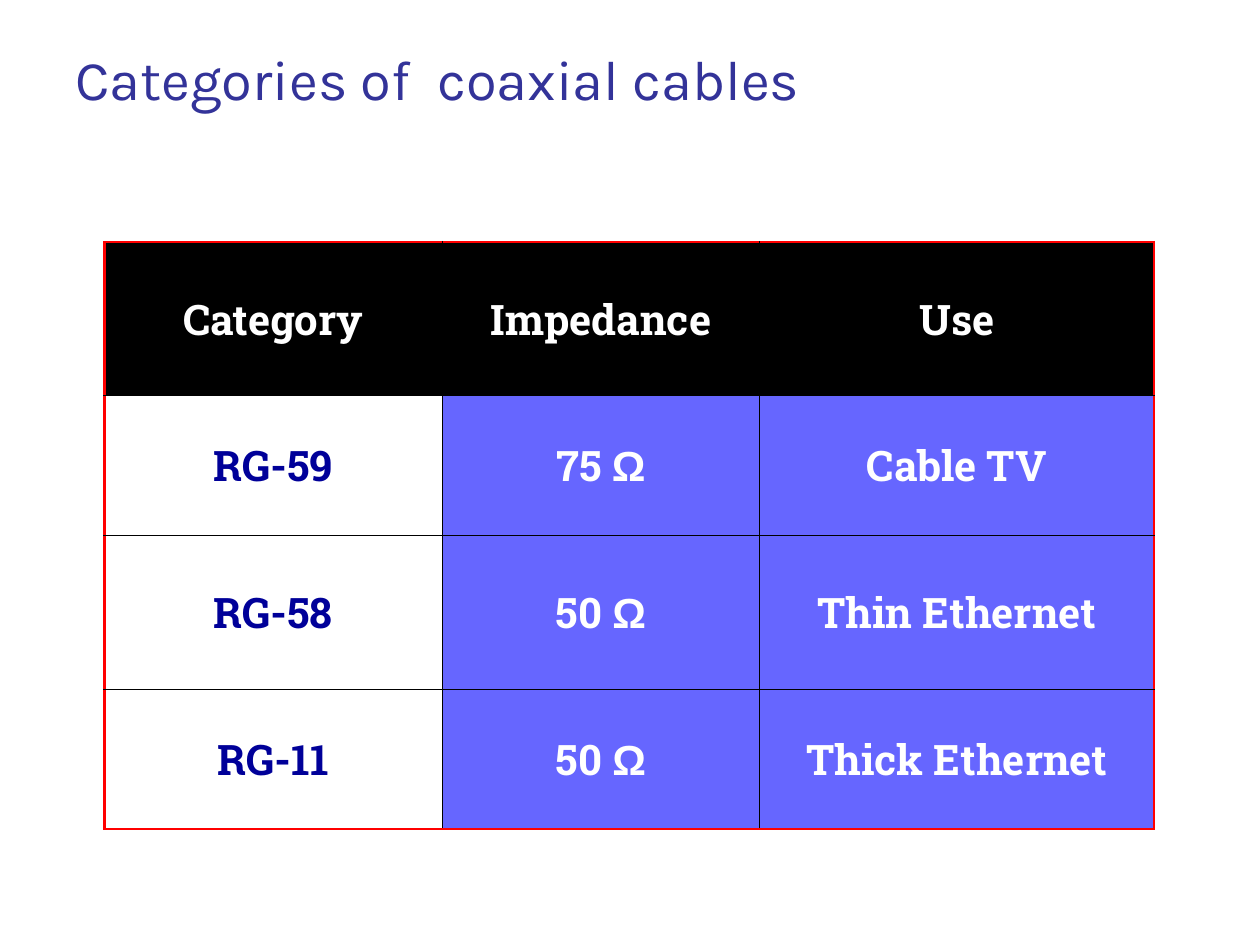
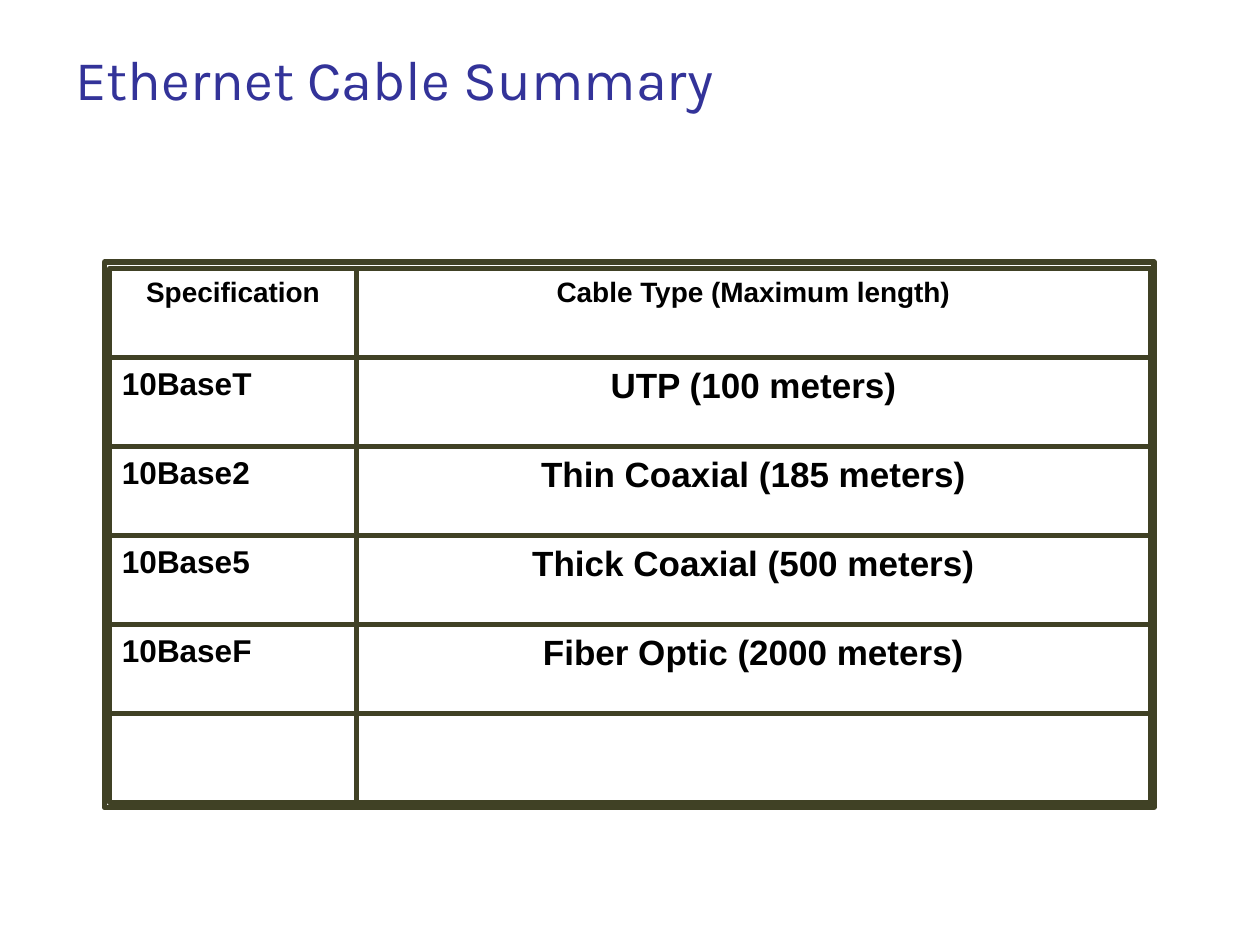
import pptx
import pptx.util
import pptx.dml.color
import pptx.enum.shapes
import pptx.enum.text
import pptx.oxml
import pptx.oxml.ns
import lxml.etree

Inches = pptx.util.Inches
Pt = pptx.util.Pt
ALIGN = pptx.enum.text.PP_ALIGN
ANCHOR = pptx.enum.text.MSO_ANCHOR

COLOURS = {
    "title": "333399",
    "black": "000000",
    "white": "FFFFFF",
    "category": "000099",
    "cell": "6666FF",
    "edge": "FF0000",
    "grid": "404125",
}

COAXIAL_TITLE = "Categories of  coaxial cables"
COAXIAL_ROWS = [
    ("Category", "Impedance", "Use"),
    ("RG-59", "75 Ω", "Cable TV"),
    ("RG-58", "50 Ω", "Thin Ethernet"),
    ("RG-11", "50 Ω", "Thick Ethernet"),
]
COAXIAL_WIDTHS = (2.68, 2.52, 3.13)
COAXIAL_HEIGHTS = (1.22, 1.11, 1.22, 1.11)

SUMMARY_TITLE = "Ethernet Cable Summary"
SUMMARY_ROWS = [
    ("Specification", "Cable Type (Maximum length)"),
    ("10BaseT", "UTP (100 meters)"),
    ("10Base2", "Thin Coaxial (185 meters)"),
    ("10Base5", "Thick Coaxial (500 meters)"),
    ("10BaseF", "Fiber Optic (2000 meters)"),
    ("", ""),
]
SUMMARY_COLUMNS = [(0.87, 1.96), (2.83, 6.3)]
SUMMARY_TOP = 2.13
SUMMARY_ROW_HEIGHT = 0.707


def colour(name):
    return pptx.dml.color.RGBColor.from_string(COLOURS[name])


def style_run(run, size, font_name, colour_name, bold=False):
    run.font.size = Pt(size)
    run.font.name = font_name
    run.font.color.rgb = colour(colour_name)
    run.font.bold = bold


def add_titled_slide(presentation, title):
    slide = presentation.slides.add_slide(presentation.slide_layouts[6])
    text_box = slide.shapes.add_textbox(Inches(0.5), Inches(0.3), Inches(9), Inches(1.25))
    text_frame = text_box.text_frame
    text_frame.word_wrap = True
    text_frame.text = title
    style_run(text_frame.paragraphs[0].runs[0], 32, "Karla", "title")
    return slide


def set_borders(cell, outer_sides):
    properties = cell._tc.get_or_add_tcPr()
    for index, side in enumerate("LRTB"):
        name, width = ("edge", 1.47) if side in outer_sides else ("black", 0.45)
        line = pptx.oxml.parse_xml(
            f'<a:ln{side} {pptx.oxml.ns.nsdecls("a")} w="{Pt(width)}"><a:solidFill>'
            f'<a:srgbClr val="{COLOURS[name]}"/></a:solidFill></a:ln{side}>'
        )
        properties.insert(index, line)


def fill_coaxial_cell(cell, text, is_header, is_category):
    if is_header:
        fill_name, text_name = "black", "white"
    elif is_category:
        fill_name, text_name = "white", "category"
    else:
        fill_name, text_name = "cell", "white"
    cell.fill.solid()
    cell.fill.fore_color.rgb = colour(fill_name)
    cell.vertical_anchor = ANCHOR.MIDDLE
    cell.margin_left = cell.margin_right = Inches(0.1)
    cell.margin_top = cell.margin_bottom = Inches(0.05)
    paragraph = cell.text_frame.paragraphs[0]
    paragraph.alignment = ALIGN.CENTER
    value, ohm, _ = text.partition("Ω")
    for part, font_name in ((value, "Roboto Slab"), (ohm, "Arial")):
        if part:
            run = paragraph.add_run()
            run.text = part
            style_run(run, 24, font_name, text_name, bold=True)


def build_coaxial_slide(presentation):
    slide = add_titled_slide(presentation, COAXIAL_TITLE)
    row_count, column_count = len(COAXIAL_ROWS), len(COAXIAL_WIDTHS)
    table = slide.shapes.add_table(
        row_count, column_count, Inches(0.83), Inches(1.92),
        Inches(sum(COAXIAL_WIDTHS)), Inches(sum(COAXIAL_HEIGHTS)),
    ).table
    for column, width in zip(table.columns, COAXIAL_WIDTHS):
        column.width = Inches(width)
    for row, height in zip(table.rows, COAXIAL_HEIGHTS):
        row.height = Inches(height)
    for row_index, texts in enumerate(COAXIAL_ROWS):
        for column_index, text in enumerate(texts):
            cell = table.cell(row_index, column_index)
            fill_coaxial_cell(cell, text, row_index == 0, column_index == 0)
            at_edge = {
                "L": column_index == 0,
                "R": column_index == column_count - 1,
                "T": row_index == 0,
                "B": row_index == row_count - 1,
            }
            set_borders(cell, [side for side, outer in at_edge.items() if outer])


def add_outline(slide, left, top, width, height):
    shape = slide.shapes.add_shape(
        pptx.enum.shapes.MSO_SHAPE.RECTANGLE,
        Inches(left), Inches(top), Inches(width), Inches(height),
    )
    shape.shadow.inherit = False
    shape.fill.background()
    shape.line.color.rgb = colour("grid")
    shape.line.width = Pt(3)
    return shape


def build_summary_slide(presentation):
    slide = add_titled_slide(presentation, SUMMARY_TITLE)
    for row_index, texts in enumerate(SUMMARY_ROWS):
        top = SUMMARY_TOP + row_index * SUMMARY_ROW_HEIGHT
        for column_index, (left, width) in enumerate(SUMMARY_COLUMNS):
            shape = add_outline(slide, left, top, width, SUMMARY_ROW_HEIGHT)
            text = texts[column_index]
            if not text:
                continue
            is_header, is_specification = row_index == 0, column_index == 0
            size = 16 if is_header else 18 if is_specification else 20
            text_frame = shape.text_frame
            text_frame.word_wrap = True
            text_frame.vertical_anchor = ANCHOR.TOP
            text_frame.text = text
            paragraph = text_frame.paragraphs[0]
            left_aligned = is_specification and not is_header
            paragraph.alignment = ALIGN.LEFT if left_aligned else ALIGN.CENTER
            style_run(paragraph.runs[0], size, "Arial", "black", bold=True)
    add_outline(slide, 0.83, 2.08, 8.33, 4.33)


def main():
    presentation = pptx.Presentation()
    presentation.slide_width = Inches(10)
    presentation.slide_height = Inches(7.5)
    build_coaxial_slide(presentation)
    build_summary_slide(presentation)
    presentation.save("out.pptx")


if __name__ == "__main__":
    main()
